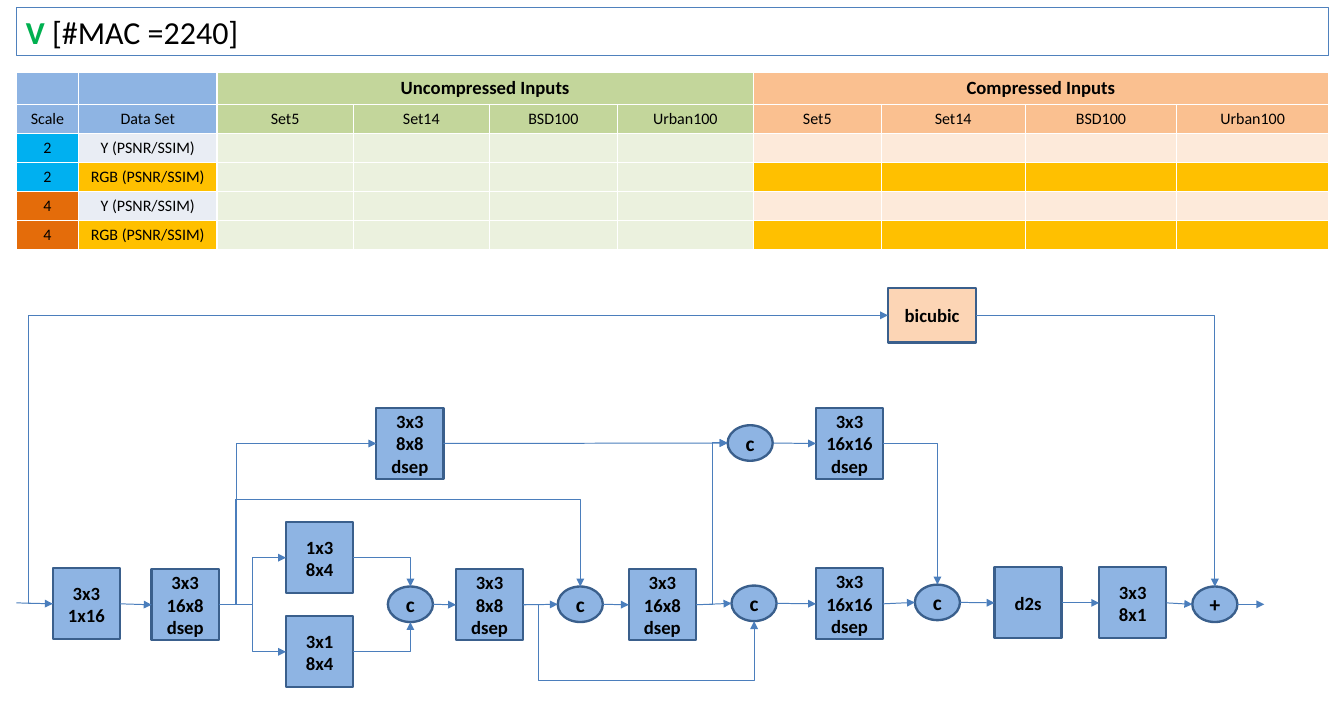
from lxml.etree import SubElement
from pptx import Presentation
from pptx.dml.color import RGBColor
from pptx.enum.shapes import MSO_CONNECTOR, MSO_SHAPE
from pptx.enum.text import MSO_ANCHOR, PP_ALIGN
from pptx.oxml.ns import qn
from pptx.util import Inches, Pt

BLACK = RGBColor(0x00, 0x00, 0x00)
GREEN = RGBColor(0x00, 0xB0, 0x50)
FRAME = RGBColor(0x4F, 0x81, 0xBD)
ARROW = RGBColor(0x4B, 0x7E, 0xBC)
OUTLINE = RGBColor(0x3A, 0x5F, 0x8C)
BLUE = RGBColor(0x8E, 0xB4, 0xE3)
PEACH = RGBColor(0xFC, 0xD5, 0xB5)
OLIVE = RGBColor(0xC3, 0xD6, 0x9B)
PALE_OLIVE = RGBColor(0xEB, 0xF1, 0xDE)
ORANGE = RGBColor(0xFA, 0xC0, 0x90)
PALE_ORANGE = RGBColor(0xFD, 0xEA, 0xDA)
PALE_BLUE = RGBColor(0xE9, 0xED, 0xF4)
GOLD = RGBColor(0xFF, 0xC0, 0x00)
CYAN = RGBColor(0x00, 0xB0, 0xF0)
RUST = RGBColor(0xE4, 0x6C, 0x0A)


def add_text(para, text, size, bold, color=BLACK):
    """Append one formatted run to a paragraph."""
    span = para.add_run()
    span.text = text
    span.font.name = "Calibri"
    span.font.size = Pt(size)
    span.font.bold = bold
    span.font.color.rgb = color


def add_arrow(page, kind, start, end, bends=()):
    """Draw an arrow; bends are adjustments as fractions of its extent."""
    straight = kind == "line"
    arrow = page.shapes.add_connector(
        MSO_CONNECTOR.STRAIGHT if straight else MSO_CONNECTOR.ELBOW, *start, *end)
    arrow.line.color.rgb = ARROW
    arrow.line.width = Pt(0.75)
    SubElement(arrow.line._get_or_add_ln(), qn("a:tailEnd"), type="triangle")
    properties = arrow._element.spPr
    SubElement(properties, qn("a:effectLst"))
    geometry = properties.find(qn("a:prstGeom"))
    geometry.set("prst", kind)
    guides = geometry.find(qn("a:avLst"))
    for number, bend in enumerate(bends, 1):
        SubElement(guides, qn("a:gd"), name=f"adj{number}",
                   fmla=f"val {round(bend * 100000)}")
    return arrow


deck = Presentation()
deck.slide_width, deck.slide_height = Inches(14), Inches(7.5)
page = deck.slides.add_slide(deck.slide_layouts[5])

title = page.shapes.title
title.left, title.top = Inches(0.17), Inches(0.08)
title.width, title.height = Inches(13.67), Inches(0.5)
title.line.color.rgb = FRAME
title.line.width = Pt(0.75)
title_para = title.text_frame.paragraphs[0]
title_para.alignment = PP_ALIGN.LEFT
add_text(title_para, "V", 24, True, GREEN)
add_text(title_para, " [#MAC =2240]", 24, False)

# Results table
data_sets = ["Set5", "Set14", "BSD100", "Urban100"]
rows = [
    ["", "", "Uncompressed Inputs", "", "", "", "Compressed Inputs", "", "", ""],
    ["Scale", "Data Set"] + data_sets * 2,
]
fills = [[BLUE] * 2 + [OLIVE] * 4 + [ORANGE] * 4] * 2
for scale, scale_fill in (("2", CYAN), ("4", RUST)):
    for channel, channel_fill, compressed_fill in (
            ("Y", PALE_BLUE, PALE_ORANGE), ("RGB", GOLD, GOLD)):
        rows.append([scale, f"{channel} (PSNR/SSIM)"] + [""] * 8)
        fills.append([scale_fill, channel_fill] + [PALE_OLIVE] * 4 + [compressed_fill] * 4)

column_widths = [0.65, 1.44, 1.42, 1.42, 1.33, 1.42, 1.33, 1.5, 1.58, 1.58]
table = page.shapes.add_table(len(rows), len(column_widths), Inches(0.17), Inches(0.75),
                              Inches(13.67), Inches(1.83)).table
table.horz_banding = False
for column, width in zip(table.columns, column_widths):
    column.width = Inches(width)
for row_index, (texts, row_fills) in enumerate(zip(rows, fills)):
    header = row_index == 0
    size = 14 if header else 12
    table.rows[row_index].height = Inches(0.33 if header else 0.3)
    for column_index, (text, fill) in enumerate(zip(texts, row_fills)):
        cell = table.cell(row_index, column_index)
        cell.fill.solid()
        cell.fill.fore_color.rgb = fill
        cell.vertical_anchor = MSO_ANCHOR.MIDDLE
        para = cell.text_frame.paragraphs[0]
        para.alignment = PP_ALIGN.CENTER
        if text:
            add_text(para, text, size, header)
        else:
            SubElement(para._p, qn("a:endParaRPr"), sz=str(size * 100))
for first_column in (2, 6):
    table.cell(0, first_column).merge(table.cell(0, first_column + 3))

# Network blocks: name, label lines, left, top
blocks = [
    ("input", "3x3 1x16", 0.55, 5.92),
    ("reduce", "3x3 16x8 dsep", 1.58, 5.93),
    ("wide", "1x3 8x4", 2.98, 5.44),
    ("tall", "3x1 8x4", 2.98, 6.42),
    ("join_pair", "c", 4.04, 6.11),
    ("middle", "3x3 8x8 dsep", 4.75, 5.93),
    ("join_skip", "c", 5.81, 6.11),
    ("reduce_again", "3x3 16x8 dsep", 6.55, 5.93),
    ("join_lower", "c", 7.62, 6.1),
    ("lower", "3x3 16x16 dsep", 8.5, 5.92),
    ("branch", "3x3 8x8 dsep", 3.92, 4.25),
    ("join_upper", "c", 7.58, 4.43),
    ("upper", "3x3 16x16 dsep", 8.5, 4.25),
    ("join_all", "c", 9.53, 6.09),
    ("d2s", "d2s", 10.36, 5.91),
    ("output", "3x3 8x1", 11.45, 5.91),
    ("sum", "+", 12.42, 6.11),
    ("bicubic", "bicubic", 9.25, 3),
]
shapes, sites = {}, {}
for name, label, left, top in blocks:
    is_circle = label in ("c", "+")
    is_bicubic = name == "bicubic"
    width, height = (0.47, 0.37) if is_circle else (0.92, 0.57) if is_bicubic else (0.7, 0.74)
    box = page.shapes.add_shape(MSO_SHAPE.OVAL if is_circle else MSO_SHAPE.RECTANGLE,
                                Inches(left), Inches(top), Inches(width), Inches(height))
    box.shadow.inherit = False
    box.fill.solid()
    box.fill.fore_color.rgb = PEACH if is_bicubic else BLUE
    box.line.color.rgb = OUTLINE
    box.line.width = Pt(1.75)
    frame = box.text_frame
    frame.vertical_anchor = MSO_ANCHOR.MIDDLE
    for index, line in enumerate(label.split()):
        para = frame.add_paragraph() if index else frame.paragraphs[0]
        para.alignment = PP_ALIGN.CENTER
        add_text(para, line, 16 if is_circle else 14, True)
    shapes[name] = box
    center_x, center_y = box.left + box.width // 2, box.top + box.height // 2
    step = 2 if is_circle else 1
    sites[name] = {
        "top": (0, (center_x, box.top)),
        "left": (step, (box.left, center_y)),
        "bottom": (2 * step, (center_x, box.top + box.height)),
        "right": (3 * step, (box.left + box.width, center_y)),
    }

# Links: source, its side, target, its side, x and y of the bends
links = [
    ("reduce", "right", "wide", "left", 2.63, None),
    ("reduce", "right", "tall", "left", 2.63, None),
    ("reduce", "right", "branch", "left", 2.46, None),
    ("reduce", "right", "join_skip", "top", 2.45, 5.2),
    ("wide", "right", "join_pair", "top", None, None),
    ("tall", "right", "join_pair", "bottom", None, None),
    ("middle", "right", "join_lower", "bottom", 5.61, 7.09),
    ("reduce_again", "right", "join_upper", "left", 7.42, None),
    ("upper", "right", "join_all", "top", None, None),
    ("input", "left", "bicubic", "left", 0.3, None),
    ("bicubic", "right", "sum", "top", None, None),
]
chains = [
    ["input", "reduce"],
    ["join_pair", "middle", "join_skip", "reduce_again", "join_lower", "lower",
     "join_all", "d2s", "output", "sum"],
    ["branch", "join_upper", "upper"],
]
for chain in chains:
    links += [(source, "right", target, "left", None, None)
              for source, target in zip(chain, chain[1:])]

for source, source_side, target, target_side, bend_x, bend_y in links:
    start_site, start = sites[source][source_side]
    end_site, end = sites[target][target_side]
    bends = [(Inches(bend) - first) / (last - first)
             for bend, first, last in zip((bend_x, bend_y), start, end) if bend is not None]
    if bends:
        kind = f"bentConnector{len(bends) + 2}"
    else:
        kind = "line" if target_side == "left" else "bentConnector2"
    if len(bends) == 1:
        kind = "bentConnector3"
    arrow = add_arrow(page, kind, start, end, bends)
    ends = arrow._element.find(f"{qn('p:nvCxnSpPr')}/{qn('p:cNvCxnSpPr')}")
    for tag, name, site in (("a:stCxn", source, start_site), ("a:endCxn", target, end_site)):
        SubElement(ends, qn(tag), id=str(shapes[name].shape_id), idx=str(site))

add_arrow(page, "line", (Inches(0.17), Inches(6.28)), sites["input"]["left"][1])
sum_exit = sites["sum"]["right"][1]
add_arrow(page, "line", sum_exit, (Inches(13.17), sum_exit[1]))

deck.save("out.pptx")
